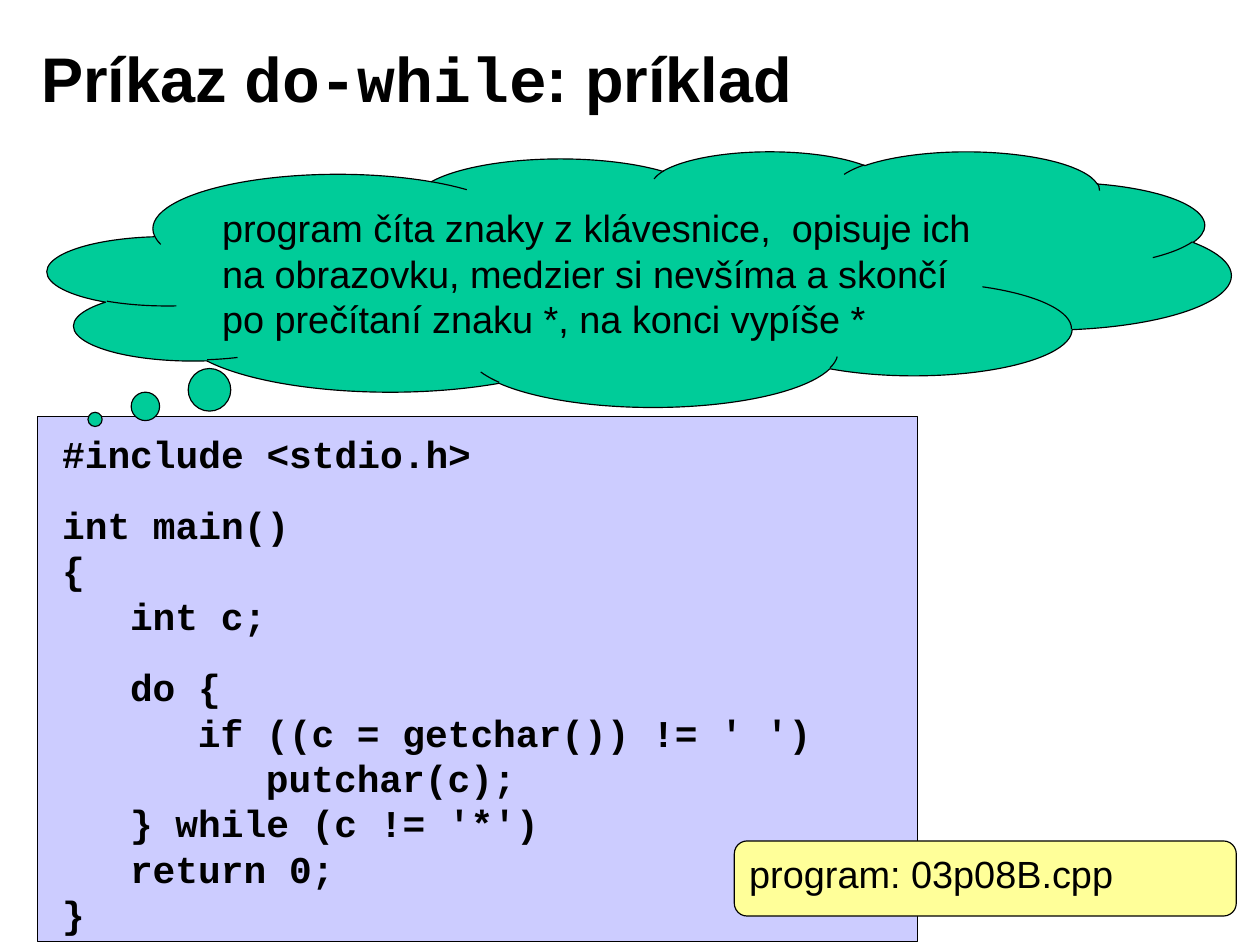
from dataclasses import dataclass

from pptx import Presentation
from pptx.dml.color import RGBColor
from pptx.enum.shapes import MSO_SHAPE
from pptx.enum.text import MSO_ANCHOR, PP_ALIGN
from pptx.util import Cm, Pt

RECTANGLE = MSO_SHAPE.RECTANGLE
ROUNDED = MSO_SHAPE.ROUNDED_RECTANGLE
CLOUD = MSO_SHAPE.CLOUD_CALLOUT
TOP, MIDDLE = MSO_ANCHOR.TOP, MSO_ANCHOR.MIDDLE
LEFT = PP_ALIGN.LEFT
TITLE_ONLY = 5


@dataclass(frozen=True)
class Theme:
    ink: RGBColor = RGBColor(0x00, 0x00, 0x00)
    panel: RGBColor = RGBColor(0xCC, 0xCC, 0xFF)
    cloud: RGBColor = RGBColor(0x00, 0xCC, 0x99)
    label: RGBColor = RGBColor(0xFF, 0xFF, 0x99)
    sans: str = "Arial"
    mono: str = "Courier New"
    title_size: Pt = Pt(40)
    body_size: Pt = Pt(24)
    line_pitch: Pt = Pt(28.8)
    code_gap: Pt = Pt(16.5)
    code_indent: Cm = Cm(1.52)
    outline: Pt = Pt(0.75)


class SlideBuilder:
    def __init__(self, page, theme):
        self.page = page
        self.theme = theme

    def add_span(self, para, text, font, size, bold=False):
        span = para.add_run()
        span.text = text
        span.font.name = font
        span.font.size = size
        span.font.bold = bold
        span.font.color.rgb = self.theme.ink

    def set_frame(self, frame, anchor, side=0.25, edge=0.13):
        frame.word_wrap = True
        frame.vertical_anchor = anchor
        frame.margin_left = frame.margin_right = Cm(side)
        frame.margin_top = frame.margin_bottom = Cm(edge)

    def title(self, area, spans):
        box = self.page.shapes.title
        box.left, box.top, box.width, box.height = map(Cm, area)
        self.set_frame(box.text_frame, MIDDLE, 0.28, 0.15)
        para = box.text_frame.paragraphs[0]
        para.alignment = LEFT
        for text, font in spans:
            self.add_span(para, text, font, self.theme.title_size, True)

    def shape(self, kind, area, fill, text="", anchor=TOP, adjustments=()):
        box = self.page.shapes.add_shape(kind, *map(Cm, area))
        box.shadow.inherit = False
        box.fill.solid()
        box.fill.fore_color.rgb = fill
        box.line.color.rgb = self.theme.ink
        box.line.width = self.theme.outline
        for index, value in enumerate(adjustments):
            box.adjustments[index] = value
        if text:
            self.set_frame(box.text_frame, anchor)
            para = box.text_frame.paragraphs[0]
            para.alignment = LEFT
            para.line_spacing = self.theme.line_pitch
            self.add_span(para, text, self.theme.sans, self.theme.body_size)

    def code(self, area, lines):
        frame = self.page.shapes.add_textbox(*map(Cm, area)).text_frame
        self.set_frame(frame, TOP)
        for index, (level, text, starts_block) in enumerate(lines):
            para = frame.add_paragraph() if index else frame.paragraphs[0]
            para.line_spacing = self.theme.line_pitch
            if starts_block:
                para.space_before = self.theme.code_gap
            properties = para._p.get_or_add_pPr()
            properties.set("marL", str(int(level * self.theme.code_indent)))
            properties.set("indent", "0")
            self.add_span(para, text, self.theme.mono, self.theme.body_size, True)


CODE_LINES = [
    (0, "#include <stdio.h>", False),
    (0, "int main()", True),
    (0, "{", False),
    (1, "int c;", False),
    (1, "do {", True),
    (2, "if ((c = getchar()) != ' ')", False),
    (3, "putchar(c);", False),
    (1, "} while (c != '*')", False),
    (1, "return 0;", False),
    (0, "}", False),
]

CLOUD_TEXT = (
    "program číta znaky z klávesnice,  opisuje ich na obrazovku, "
    "medzier si nevšíma a skončí po prečítaní znaku *, "
    "na konci vypíše *"
)

theme = Theme()
deck = Presentation()
deck.slide_width, deck.slide_height = Cm(28.19), Cm(21.08)
page = deck.slides.add_slide(deck.slide_layouts[TITLE_ONLY])
builder = SlideBuilder(page, theme)

builder.title(
    (0.64, 0.43, 22.66, 2.59),
    [("Príkaz ", theme.sans), ("do-while", theme.mono), (": príklad", theme.sans)],
)
builder.shape(RECTANGLE, (0.84, 9.32, 19.69, 11.76), theme.panel)
builder.code((1.14, 9.5, 17.81, 11.58), CODE_LINES)
builder.shape(
    CLOUD, (1.07, 3.38, 26.47, 5.72), theme.cloud, CLOUD_TEXT, MIDDLE, (-0.46, 0.55)
)
builder.shape(
    ROUNDED, (16.43, 18.82, 11.23, 1.68), theme.label,
    "program: 03p08B.cpp", TOP, (0.17,),
)

deck.save("out.pptx")
